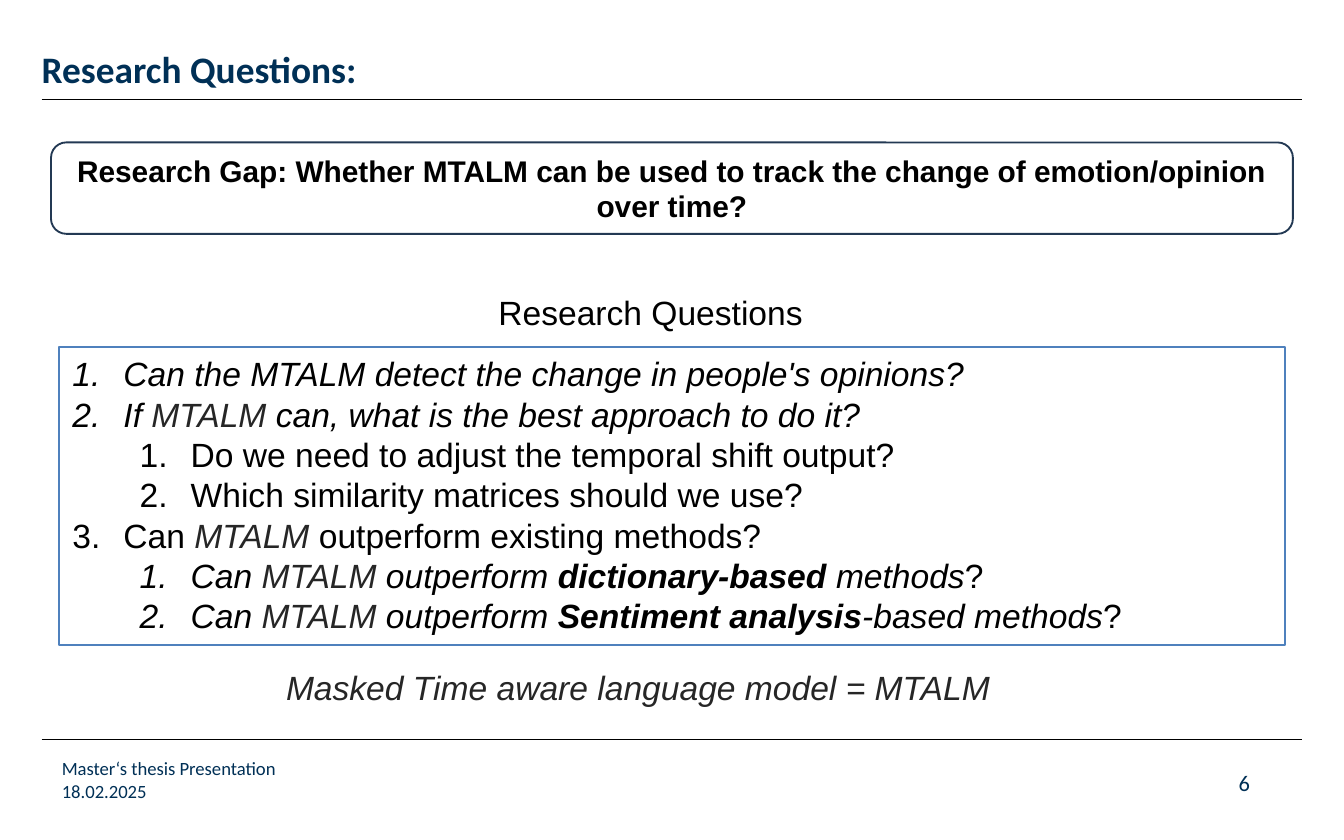
from dataclasses import dataclass
from lxml import etree
from pptx import Presentation
from pptx.dml.color import RGBColor
from pptx.enum.shapes import MSO_CONNECTOR, MSO_SHAPE
from pptx.enum.text import MSO_ANCHOR, PP_ALIGN
from pptx.oxml.ns import qn
from pptx.util import Inches, Pt

LINE = MSO_CONNECTOR.STRAIGHT
RECT, ROUND = MSO_SHAPE.RECTANGLE, MSO_SHAPE.ROUNDED_RECTANGLE
TOP, MID, BASE = MSO_ANCHOR.TOP, MSO_ANCHOR.MIDDLE, MSO_ANCHOR.BOTTOM
LEFT, CENTER, RIGHT = PP_ALIGN.LEFT, PP_ALIGN.CENTER, PP_ALIGN.RIGHT


@dataclass(frozen=True)
class Theme:
    head: str = "Calibri"
    body: str = "Arial"
    navy: str = "003056"
    edge: str = "233953"
    blue: str = "4F81BD"
    ink: str = "000000"
    gray: str = "262626"
    paper: str = "FFFFFF"
    title: int = 20
    text: int = 18
    gap: int = 16
    page: int = 12
    foot: int = 10


T = Theme()

# Content: runs are (text, style), with i italic, b bold, g gray
TITLE = "Research Questions:"
GAP = ("Research Gap: Whether MTALM can be used to track the change "
       "of emotion/opinion over time?")
HEAD = "Research Questions"
NOTE = "Masked Time aware language model = MTALM"
FOOT = ["Master‘s thesis Presentation", "18.02.2025"]
PAGE = "6"
ITEMS = [
    (0, [("Can the MTALM detect the change in people's opinions?", "i")]),
    (0, [("If ", "i"), ("MTALM", "ig"),
         (" can, what is the best approach to do it?", "i")]),
    (1, [("Do we need to adjust the temporal shift output?", "")]),
    (1, [("Which similarity matrices should we use?", "")]),
    (0, [("Can ", ""), ("MTALM ", "ig"), ("outperform existing methods?", "")]),
    (1, [("Can ", "i"), ("MTALM", "ig"), (" outperform ", "i"),
         ("dictionary-based ", "ib"), ("methods", "i"), ("?", "")]),
    (1, [("Can ", "i"), ("MTALM", "ig"), (" outperform ", "i"),
         ("Sentiment analysis", "ib"), ("-based methods", "i"), ("?", "")]),
]

# Layout, in inches
WIDE, HIGH = 10, 6.25
EDGE = 0.31
RULES = [0.74, 5.5]
STEP = 0.17
HANG, DEEP = 0.38, 0.5


def color(code):
    return RGBColor.from_string(code)


def style(font, name, size, code, bold=False, slant=False):
    font.name, font.size = name, Pt(size)
    font.bold, font.italic = bold, slant
    font.color.rgb = color(code)


def label(text, box, name, size, code, align=LEFT, slant=False,
          inset=True, wrap=True):
    frame = slide.shapes.add_textbox(*map(Inches, box)).text_frame
    frame.word_wrap = wrap
    if not inset:
        flush(frame)
    para = frame.paragraphs[0]
    para.text, para.alignment = text, align
    style(para.font, name, size, code, slant=slant)


def flush(frame):
    frame.margin_left = frame.margin_right = 0
    frame.margin_top = frame.margin_bottom = 0


def panel(kind, inset, top, high, edge, anchor):
    box = (inset, top, WIDE - 2 * inset, high)
    shape = slide.shapes.add_shape(kind, *map(Inches, box))
    shape.shadow.inherit = False
    shape.fill.solid()
    shape.fill.fore_color.rgb = color(T.paper)
    shape.line.color.rgb = color(edge)
    shape.line.width = Pt(1)
    frame = shape.text_frame
    frame.word_wrap, frame.vertical_anchor = True, anchor
    return frame


def number(para, level):
    para.level = level
    props = para._p.get_or_add_pPr()
    props.set("marL", str(Inches(HANG + level * DEEP)))
    props.set("indent", str(-Inches(HANG)))
    face = etree.SubElement(props, qn("a:buFont"))
    face.set("typeface", "+mj-lt")
    mark = etree.SubElement(props, qn("a:buAutoNum"))
    mark.set("type", "arabicPeriod")


deck = Presentation()
deck.slide_width, deck.slide_height = Inches(WIDE), Inches(HIGH)
slide = deck.slides.add_slide(deck.slide_layouts[5])

# Rules above and below the content
for y in RULES:
    rule = slide.shapes.add_connector(
        LINE, *map(Inches, (EDGE, y, WIDE - EDGE, y)))
    rule.line.color.rgb = color(T.ink)
    rule.line.width = Pt(0.5)
    etree.SubElement(rule._element.spPr, qn("a:effectLst"))

# Footer and page number
for row, text in enumerate(FOOT):
    label(text, (0.46, 5.63 + row * STEP, 4.22, 0.2),
          T.head, T.foot, T.navy, inset=False)
label(PAGE, (7.76, 5.72, 1.54, 0.2), T.head, T.page, T.navy,
      align=RIGHT, inset=False)

# Title
title = slide.shapes.title
title.left, title.top = Inches(EDGE), Inches(0.18)
title.width, title.height = Inches(WIDE - 2 * EDGE), Inches(0.5)
frame = title.text_frame
flush(frame)
frame.vertical_anchor = BASE
para = frame.paragraphs[0]
para.text, para.alignment, para.line_spacing = TITLE, LEFT, 0.9
style(para.font, T.head, T.title, T.navy, bold=True)

# Numbered questions
frame = panel(RECT, 0.44, 2.58, 2.22, T.blue, TOP)
for spot, (level, runs) in enumerate(ITEMS):
    para = frame.add_paragraph() if spot else frame.paragraphs[0]
    para.alignment = LEFT
    number(para, level)
    for text, look in runs:
        run = para.add_run()
        run.text = text
        style(run.font, T.body, T.text, T.gray if "g" in look else T.ink,
              "b" in look, "i" in look)

# Research gap
para = panel(ROUND, 0.38, 1.06, 0.68, T.edge, MID).paragraphs[0]
para.text, para.alignment = GAP, CENTER
style(para.font, T.body, T.gap, T.ink, bold=True)

# Heading and note around the questions
label(NOTE, (2.03, 4.91, 5.65, 0.4), T.body, T.text, T.gray,
      slant=True, wrap=False)
label(HEAD, (3.61, 2.12, 2.49, 0.4), T.body, T.text, T.ink, wrap=False)

deck.save("out.pptx")
